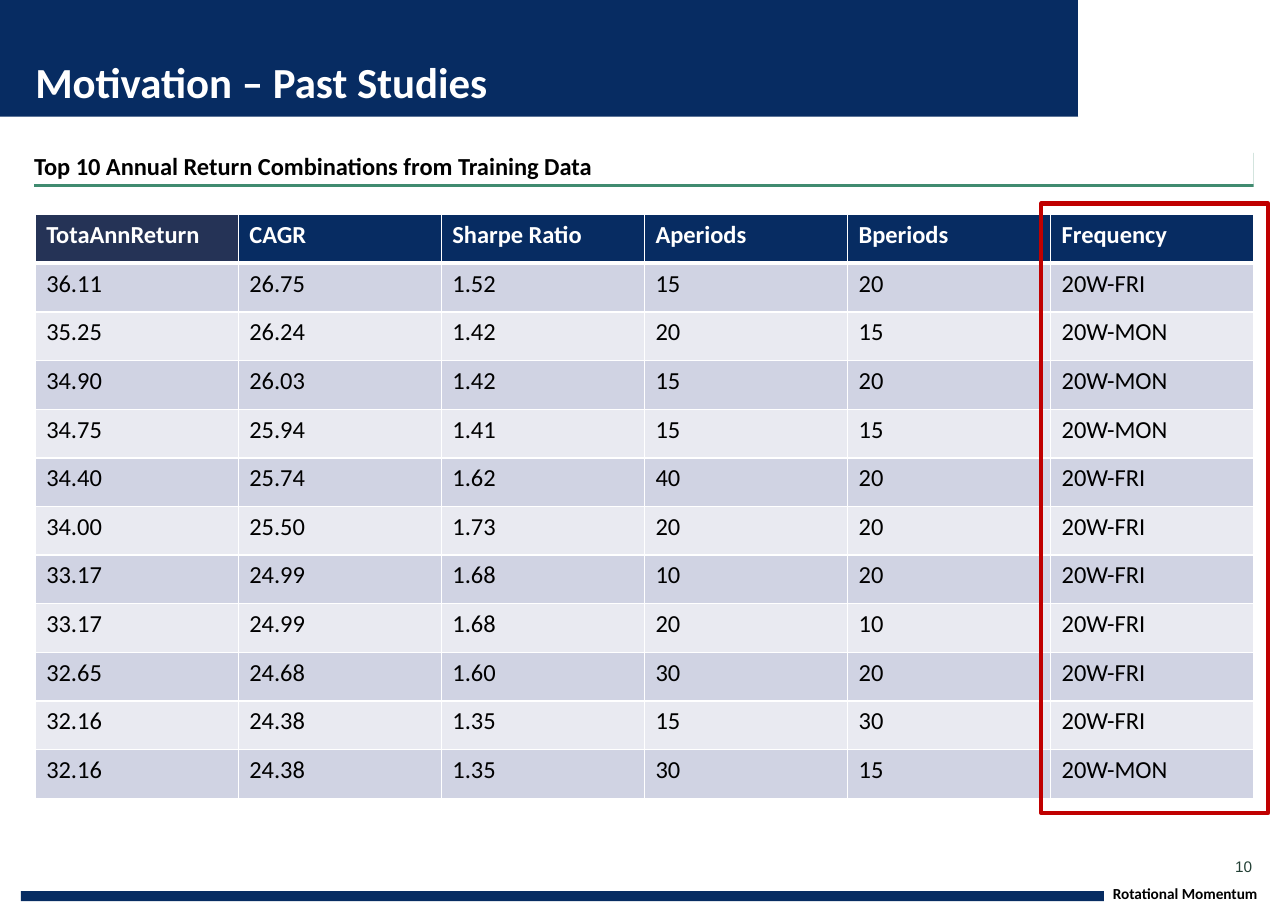
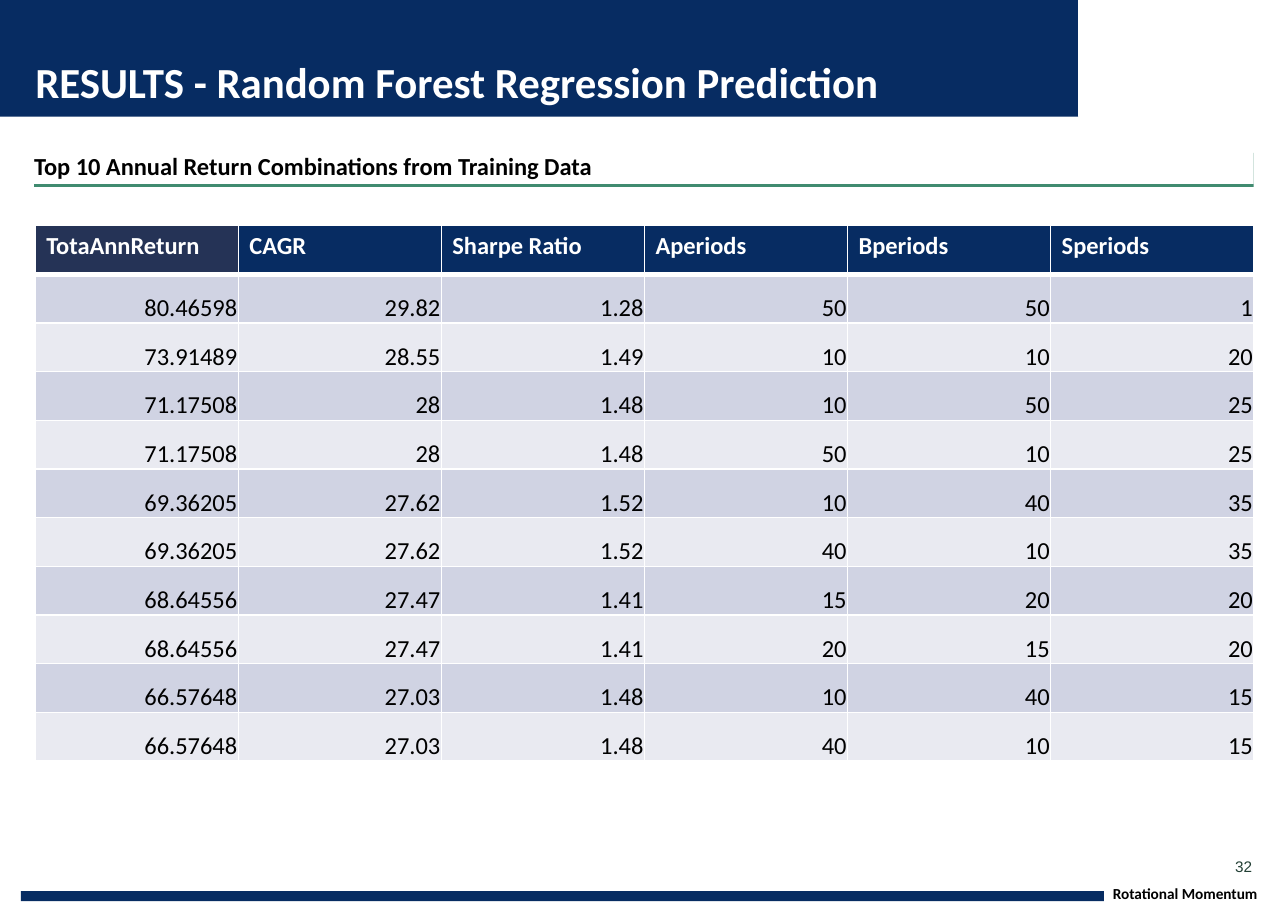
from lxml import etree
from pptx import Presentation
from pptx import util as u
from pptx.dml.color import RGBColor
from pptx.enum import shapes, text
from pptx.oxml import ns

COLORS = {
    "navy": "072C62", "slate": "253356", "green": "408B70", "red": "C00000",
    "white": "FFFFFF", "black": "000000", "page": "234035",
    "row_dark": "D0D3E3", "row_light": "E9EAF1",
}
SUBTITLE = "Top 10 Annual Return Combinations from Training Data"
FOOTER = "Rotational Momentum"
LEFT, TABLE_WIDTH = 0.32, 11.06
MEASURES = ["TotaAnnReturn", "CAGR", "Sharpe Ratio", "Aperiods", "Bperiods"]

TRAINING_ROWS = [
    ["36.11", "26.75", "1.52", "15", "20", "20W-FRI"],
    ["35.25", "26.24", "1.42", "20", "15", "20W-MON"],
    ["34.90", "26.03", "1.42", "15", "20", "20W-MON"],
    ["34.75", "25.94", "1.41", "15", "15", "20W-MON"],
    ["34.40", "25.74", "1.62", "40", "20", "20W-FRI"],
    ["34.00", "25.50", "1.73", "20", "20", "20W-FRI"],
    ["33.17", "24.99", "1.68", "10", "20", "20W-FRI"],
    ["33.17", "24.99", "1.68", "20", "10", "20W-FRI"],
    ["32.65", "24.68", "1.60", "30", "20", "20W-FRI"],
    ["32.16", "24.38", "1.35", "15", "30", "20W-FRI"],
    ["32.16", "24.38", "1.35", "30", "15", "20W-MON"],
]
PREDICTION_ROWS = [
    ["80.46598", "29.82", "1.28", "50", "50", "1"],
    ["73.91489", "28.55", "1.49", "10", "10", "20"],
    ["71.17508", "28", "1.48", "10", "50", "25"],
    ["71.17508", "28", "1.48", "50", "10", "25"],
    ["69.36205", "27.62", "1.52", "10", "40", "35"],
    ["69.36205", "27.62", "1.52", "40", "10", "35"],
    ["68.64556", "27.47", "1.41", "15", "20", "20"],
    ["68.64556", "27.47", "1.41", "20", "15", "20"],
    ["66.57648", "27.03", "1.48", "10", "40", "15"],
    ["66.57648", "27.03", "1.48", "40", "10", "15"],
]


def rgb(name):
    return RGBColor.from_string(COLORS[name])


def inches(*lengths):
    return [u.Inches(length) for length in lengths]


def write(frame, words, size=16, color="black", bold=False, font="Calibri",
          align=text.PP_ALIGN.LEFT, spacing=None):
    """Put one formatted paragraph into a text frame."""
    paragraph = frame.paragraphs[0]
    paragraph.alignment = align
    paragraph.line_spacing = spacing
    run = paragraph.add_run()
    run.text = words
    run.font.name, run.font.size, run.font.bold = font, u.Pt(size), bold
    run.font.color.rgb = rgb(color)


def fit_frame(frame, anchor=text.MSO_ANCHOR.BOTTOM, bottom=0, wrap=True):
    frame.margin_left = frame.margin_top = frame.margin_right = 0
    frame.margin_bottom = u.Inches(bottom)
    frame.vertical_anchor = anchor
    frame.auto_size = text.MSO_AUTO_SIZE.NONE
    frame.word_wrap = wrap
    return frame


def add_rect(slide, box, fill=None, line=None, width=2):
    rect = slide.shapes.add_shape(shapes.MSO_SHAPE.RECTANGLE, *inches(*box))
    rect.shadow.inherit = False
    if fill:
        rect.fill.solid()
        rect.fill.fore_color.rgb = rgb(fill)
    else:
        rect.fill.background()
    if line:
        rect.line.color.rgb = rgb(line)
        rect.line.width = u.Pt(width)
    else:
        rect.line.fill.background()
    return rect


def add_label(slide, box, words, anchor=text.MSO_ANCHOR.BOTTOM, wrap=True,
              **style):
    label = slide.shapes.add_textbox(*inches(*box))
    write(fit_frame(label.text_frame, anchor, wrap=wrap), words, **style)


def add_subtitle(slide):
    """Heading whose hard green shadow forms the rule below it."""
    heading = add_rect(slide, (0.31, 1.36, 11.07, 0.31), "white")
    effects = heading.element.spPr.find(ns.qn("a:effectLst"))
    shadow = etree.SubElement(effects, ns.qn("a:outerShdw"), blurRad="0",
                              dist=str(u.Pt(2)), dir=str(90 * 60000),
                              algn="t", rotWithShape="0")
    etree.SubElement(shadow, ns.qn("a:srgbClr"), val=COLORS["green"])
    write(fit_frame(heading.text_frame, bottom=0.03), SUBTITLE, bold=True,
          spacing=1.1)


def set_borders(cell, top, bottom):
    """White cell borders; side borders are one point wide."""
    properties = cell._tc.get_or_add_tcPr()
    for side, width in (("L", 1), ("R", 1), ("T", top), ("B", bottom)):
        border = etree.SubElement(properties, ns.qn(f"a:ln{side}"),
                                  w=str(u.Pt(width)))
        fill = etree.SubElement(border, ns.qn("a:solidFill"))
        etree.SubElement(fill, ns.qn("a:srgbClr"), val=COLORS["white"])


def cell_fill(row, column):
    if row == 0:
        return "navy" if column else "slate"
    return "row_dark" if row % 2 else "row_light"


def add_results(slide, top, height, headers, rows, numeric=False):
    """Banded table; numeric bodies sit tight at the bottom right."""
    grid = [headers] + rows
    table = slide.shapes.add_table(
        len(grid), len(headers),
        *inches(LEFT, top, TABLE_WIDTH, height)).table
    for r, values in enumerate(grid):
        for c, value in enumerate(values):
            cell, header = table.cell(r, c), r == 0
            set_borders(cell, 3 if r == 1 else 1, 3 if header else 1)
            cell.fill.solid()
            cell.fill.fore_color.rgb = rgb(cell_fill(r, c))
            tight = numeric and not header
            if tight:
                cell.vertical_anchor = text.MSO_ANCHOR.BOTTOM
                cell.margin_left = cell.margin_right = u.Inches(0.01)
                cell.margin_top, cell.margin_bottom = inches(0.01, 0)
            write(cell.text_frame, value, bold=header,
                  color="white" if header else "black",
                  align=text.PP_ALIGN.RIGHT if tight else text.PP_ALIGN.LEFT)


def start_slide(deck, heading, page):
    """Title-only slide with the shared bands, footer and page number."""
    slide = deck.slides.add_slide(deck.slide_layouts[5])
    # Bands and footer
    add_rect(slide, (0, 0, 11.69, 1.06), "navy")
    add_rect(slide, (9.8, 0, 1.89, 1.06), "white", line="white")
    add_rect(slide, (0.19, 8.09, 9.83, 0.09), "navy")
    add_label(slide, (10.1, 8.02, 1.72, 0.17), FOOTER, size=10, bold=True)
    # Title, raised above the bands
    title = slide.shapes.title
    title.element.getparent().append(title.element)
    title.left, title.top, title.width, title.height = inches(
        LEFT, 0.5, 9.49, 0.47)
    write(fit_frame(title.text_frame), heading, size=28, color="white",
          bold=True)
    # Page number
    add_label(slide, (11.21, 7.78, 0.17, 0.17), page, wrap=False,
              anchor=text.MSO_ANCHOR.MIDDLE, size=10, color="page",
              font="Arial")
    return slide


def main():
    deck = Presentation()
    deck.slide_width, deck.slide_height = inches(11.69, 8.27)

    # Past studies, with the frequency column highlighted
    studies = start_slide(deck, "Motivation – Past Studies", "10")
    add_results(studies, 1.95, 5.3, MEASURES + ["Frequency"], TRAINING_ROWS)
    add_subtitle(studies)
    add_rect(studies, (9.45, 1.85, 2.06, 5.53), line="red", width=3)

    # Random forest prediction
    prediction = start_slide(
        deck, "RESULTS - Random Forest Regression Prediction", "32")
    add_results(prediction, 2.05, 4.86, MEASURES + ["Speriods"],
                PREDICTION_ROWS, numeric=True)
    add_subtitle(prediction)

    deck.save("out.pptx")


if __name__ == "__main__":
    main()
